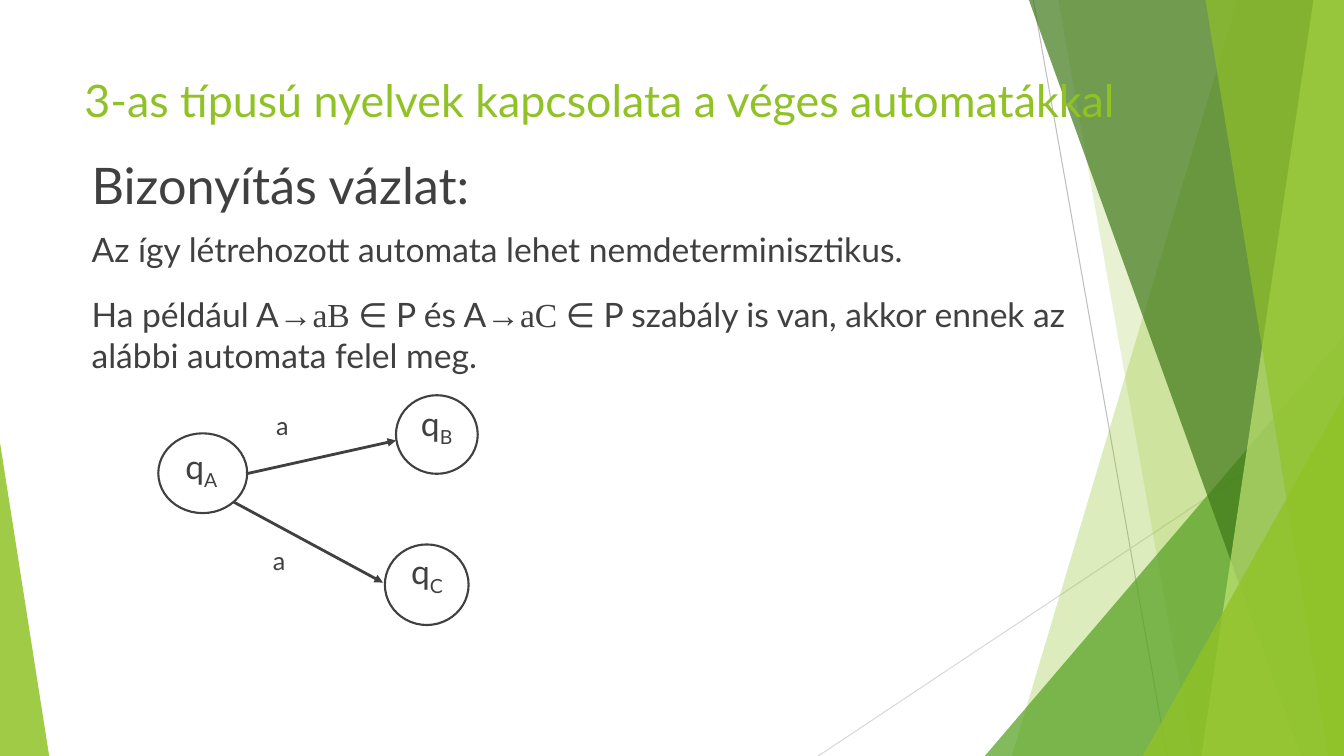
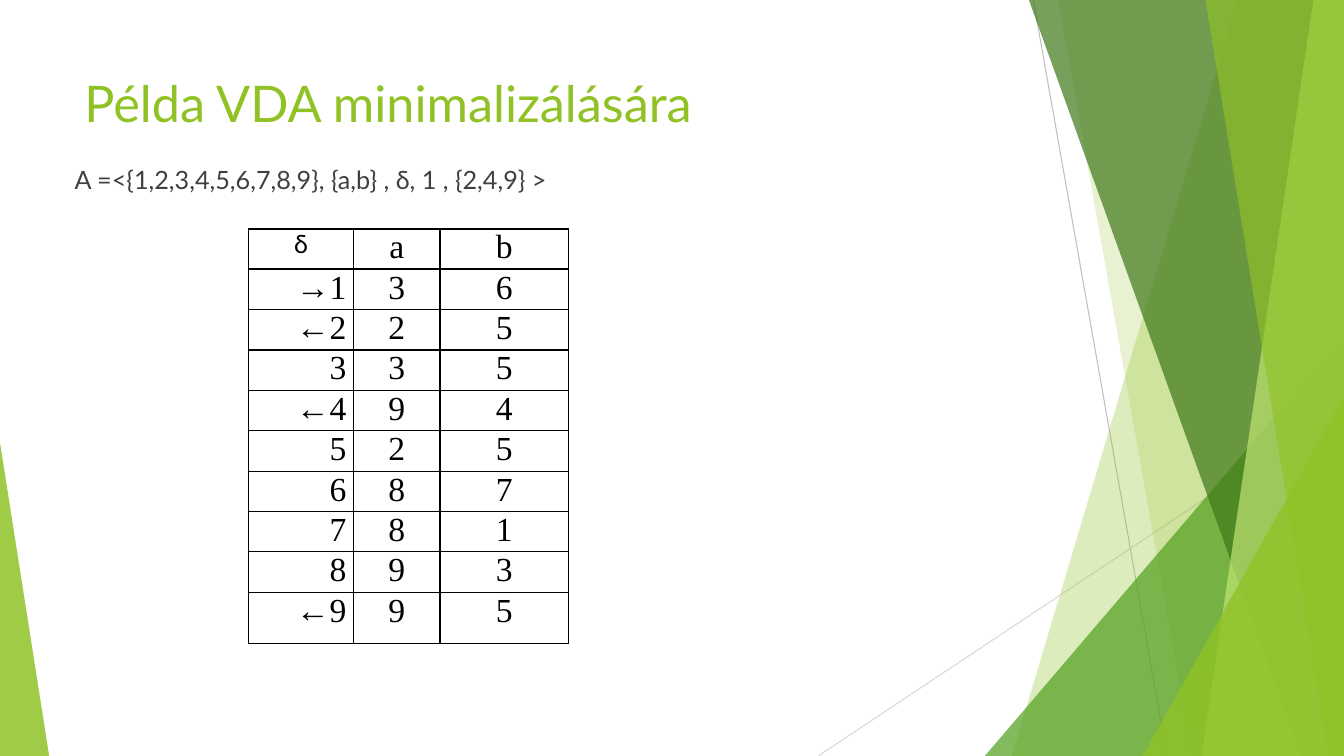
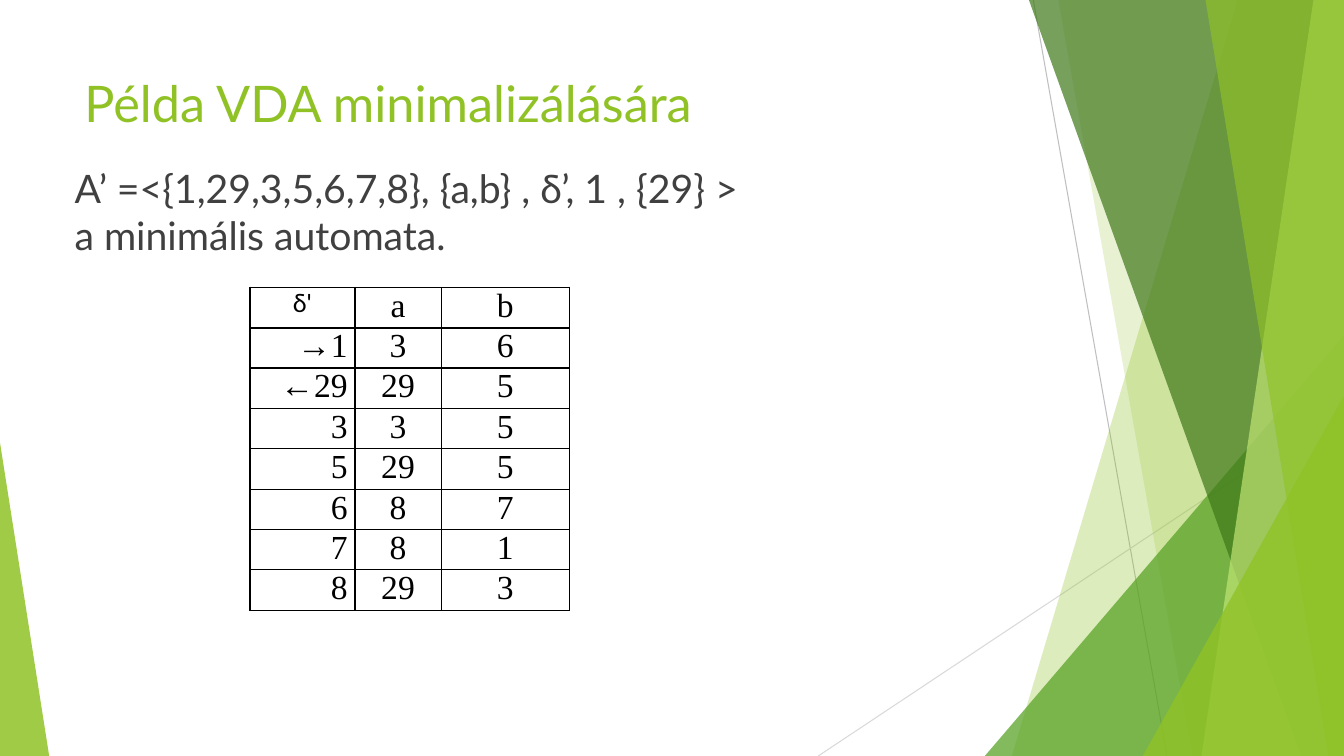
from dataclasses import dataclass

from lxml.etree import SubElement
from pptx import Presentation
from pptx.dml.color import RGBColor
from pptx.enum.shapes import MSO_CONNECTOR, MSO_SHAPE
from pptx.enum.text import MSO_ANCHOR, PP_ALIGN
from pptx.oxml.ns import qn
from pptx.util import Cm, Pt


@dataclass(frozen=True)
class Theme:
    lime: str = "90C226"
    green: str = "54A021"
    dark: str = "3F7819"
    pale: str = "C0E474"
    ink: str = "404040"
    black: str = "000000"
    gray: str = "BFBFBF"
    light: str = "D9D9D9"
    sans: str = "Lato"
    serif: str = "Times New Roman"
    head: int = 36
    long: int = 32
    large: int = 28
    text: int = 24
    small: int = 18


THEME = Theme()
WIDE, HIGH = 33.87, 19.05


def span(*sizes):
    return [Cm(size) for size in sizes]


def write(frame, *parts, size=THEME.text, color=THEME.ink, font=THEME.sans,
          align=PP_ALIGN.LEFT, before=0):
    para = frame.paragraphs[0]
    if para.runs:
        para = frame.add_paragraph()
    para.alignment = align
    para.space_before = Pt(before)
    for part in parts:
        if part == "\n":
            para.add_line_break()
            continue
        text, extra = (part, {}) if isinstance(part, str) else part
        run = para.add_run()
        run.text = text
        run.font.size = Pt(size)
        run.font.name = extra.get("font", font)
        run.font.color.rgb = RGBColor.from_string(color)
        if "base" in extra:
            run._r.get_or_add_rPr().set("baseline", str(extra["base"] * 1000))


class Deck:
    def __init__(self, theme):
        self.theme = theme
        self.show = Presentation()
        self.show.slide_width, self.show.slide_height = span(WIDE, HIGH)
        self.blank = self.show.slide_layouts[6]
        self.page = None

    def start(self, title, size, width=23.88, height=3.66):
        self.page = self.show.slides.add_slide(self.blank)
        if len(self.show.slides) == 1:
            self.scene()
        write(self.box(1.88, 1.7, width, height), title,
              size=size, color=self.theme.lime)

    def scene(self):
        look = self.theme
        self.line((26.04, 0), (29.41, HIGH), look.gray, 0.75)
        self.line((WIDE, 10.24), (20.62, HIGH), look.light, 0.75)
        self.band(31.19, 25.5, look.lime, 30)
        self.band(26.67, 30.05, look.lime, 20)
        self.wedge(24.82, 8.46, 9.05, 1, look.green, 72)
        self.band(25.93, 32.79, look.dark, 70)
        self.band(33.1, 30.28, look.pale, 70)
        self.band(30.38, 33.48, look.lime, 65)
        self.wedge(28.8, 9.98, 5.07, 1, look.lime, 80)
        self.wedge(0, 11.15, 1.24, 0, look.lime, 85)
        for shape in list(self.page.shapes):
            self.blank.shapes.element.append(shape.element)

    def paint(self, shape, color, alpha):
        shape.shadow.inherit = False
        shape.fill.solid()
        shape.fill.fore_color.rgb = RGBColor.from_string(color)
        tint = shape.element.spPr.find(".//" + qn("a:srgbClr"))
        SubElement(tint, qn("a:alpha"), val=str(alpha * 1000))
        shape.line.fill.background()

    def band(self, top, base, color, alpha):
        form = self.page.shapes.build_freeform(*span(top, 0))
        form.add_line_segments(
            [span(WIDE, 0), span(WIDE, HIGH), span(base, HIGH)], close=True)
        self.paint(form.convert_to_shape(), color, alpha)

    def wedge(self, left, top, width, peak, color, alpha):
        shape = self.page.shapes.add_shape(
            MSO_SHAPE.ISOSCELES_TRIANGLE, *span(left, top, width, HIGH - top))
        shape.adjustments[0] = peak
        self.paint(shape, color, alpha)

    def line(self, start, end, color, width, arrow=False):
        line = self.page.shapes.add_connector(
            MSO_CONNECTOR.STRAIGHT, *span(*start, *end))
        line.line.color.rgb = RGBColor.from_string(color)
        line.line.width = Pt(width)
        props = line.element.spPr
        if arrow:
            SubElement(props.find(qn("a:ln")), qn("a:tailEnd"), type="triangle")
        SubElement(props, qn("a:effectLst"))

    def box(self, *area):
        frame = self.page.shapes.add_textbox(*span(*area)).text_frame
        frame.word_wrap = True
        frame.vertical_anchor = MSO_ANCHOR.TOP
        return frame

    def state(self, name, area, spot):
        ring = self.page.shapes.add_shape(MSO_SHAPE.OVAL, *span(*area))
        ring.shadow.inherit = False
        ring.fill.background()
        ring.line.color.rgb = RGBColor.from_string(self.theme.ink)
        ring.line.width = Pt(1.5)
        write(self.box(*spot, 1.6, 1.27), "q", (name, {"base": -25}))

    def edge(self, start, end, label, spot):
        self.line(start, end, self.theme.ink, 2, arrow=True)
        write(self.box(*spot, 1, 1.02), label, size=self.theme.small)

    def frame(self, cell, sides):
        props = cell._tc.get_or_add_tcPr()
        for side, width in sides.items():
            rule = SubElement(props, qn("a:ln" + side), w=str(Pt(width)))
            fill = SubElement(rule, qn("a:solidFill"))
            SubElement(fill, qn("a:srgbClr"), val=self.theme.black)

    def table(self, left, top, rows, last=0.94):
        cols = (2.64, 2.18, 3.23)
        highs = [0.94] * (len(rows) - 1) + [last]
        table = self.page.shapes.add_table(
            len(rows), len(cols),
            *span(left, top, sum(cols), sum(highs))).table
        table.first_row = table.horz_banding = False
        for col, width in zip(table.columns, cols):
            col.width = Cm(width)
        for row, height in zip(table.rows, highs):
            row.height = Cm(height)
        for r, row in enumerate(rows):
            for c, text in enumerate(row):
                self.fill(table.cell(r, c), text, r, c)

    def fill(self, cell, text, r, c):
        look = self.theme
        cell.margin_left = cell.margin_right = Cm(0.18)
        cell.margin_top = cell.margin_bottom = 0
        cell.vertical_anchor = MSO_ANCHOR.TOP
        self.frame(cell, {"L": 1.5 if c == 1 else 1,
                          "R": 1.5 if c == 0 else 1,
                          "T": 1.5 if r == 1 else 1,
                          "B": 1.5 if r == 0 else 1})
        cell.fill.background()
        corner = r == c == 0
        write(cell.text_frame, text, color=look.black,
              size=look.small if corner else look.text,
              font=look.sans if corner else look.serif,
              align=PP_ALIGN.RIGHT if c == 0 and r else PP_ALIGN.CENTER)


def proof(deck):
    look = deck.theme
    serif = {"font": look.serif}
    deck.start("3-as típusú nyelvek kapcsolata a véges automatákkal",
               look.long, 31.17, 1.96)
    body = deck.box(2.06, 3.76, 26.87, 13.46)
    write(body, "Bizonyítás vázlat:", size=look.head)
    write(body, "Az így létrehozott automata lehet nemdeterminisztikus.",
          before=10)
    write(body, "Ha például A", ("→aB ", serif), "∈ P és A", ("→aC ", serif),
          "∈ P szabály is van, akkor ennek az alábbi automata felel meg.",
          before=18)
    deck.state("A", (3.99, 10.92, 2.24, 2.01), (4.42, 11.1))
    deck.state("B", (9.98, 9.96, 2.06, 1.98), (10.36, 10.03))
    deck.state("C", (9.7, 13.72, 2.11, 2.03), (10.11, 13.77))
    deck.edge((6.2, 11.94), (9.98, 11.1), "a", (6.71, 10.21))
    deck.edge((5.89, 12.65), (9.65, 14.68), "a", (6.63, 13.61))


def sample(deck, size, parts, *table, **extra):
    deck.start("Példa VDA minimalizálására", deck.theme.head)
    write(deck.box(1.63, 4.01, 23.88, 10.77), *parts, size=size)
    deck.table(*table, **extra)


def main():
    deck = Deck(THEME)
    proof(deck)
    sample(deck, THEME.small,
           ["A =<{1,2,3,4,5,6,7,8,9}, {a,b} , δ, 1 , {2,4,9} >"],
           6.27, 5.77,
           [("δ", "a", "b"), ("→1", "3", "6"), ("←2", "2", "5"),
            ("3", "3", "5"), ("←4", "9", "4"), ("5", "2", "5"),
            ("6", "8", "7"), ("7", "8", "1"), ("8", "9", "3"),
            ("←9", "9", "5")], last=1.3)
    sample(deck, THEME.large,
           ["A’ =<{1,29,3,5,6,7,8}, {a,b} , δ’, 1 , {29} >", "\n",
            "a minimális automata."],
           6.3, 7.24,
           [("δ'", "a", "b"), ("→1", "3", "6"), ("←29", "29", "5"),
            ("3", "3", "5"), ("5", "29", "5"), ("6", "8", "7"),
            ("7", "8", "1"), ("8", "29", "3")])
    deck.show.save("out.pptx")


if __name__ == "__main__":
    main()
